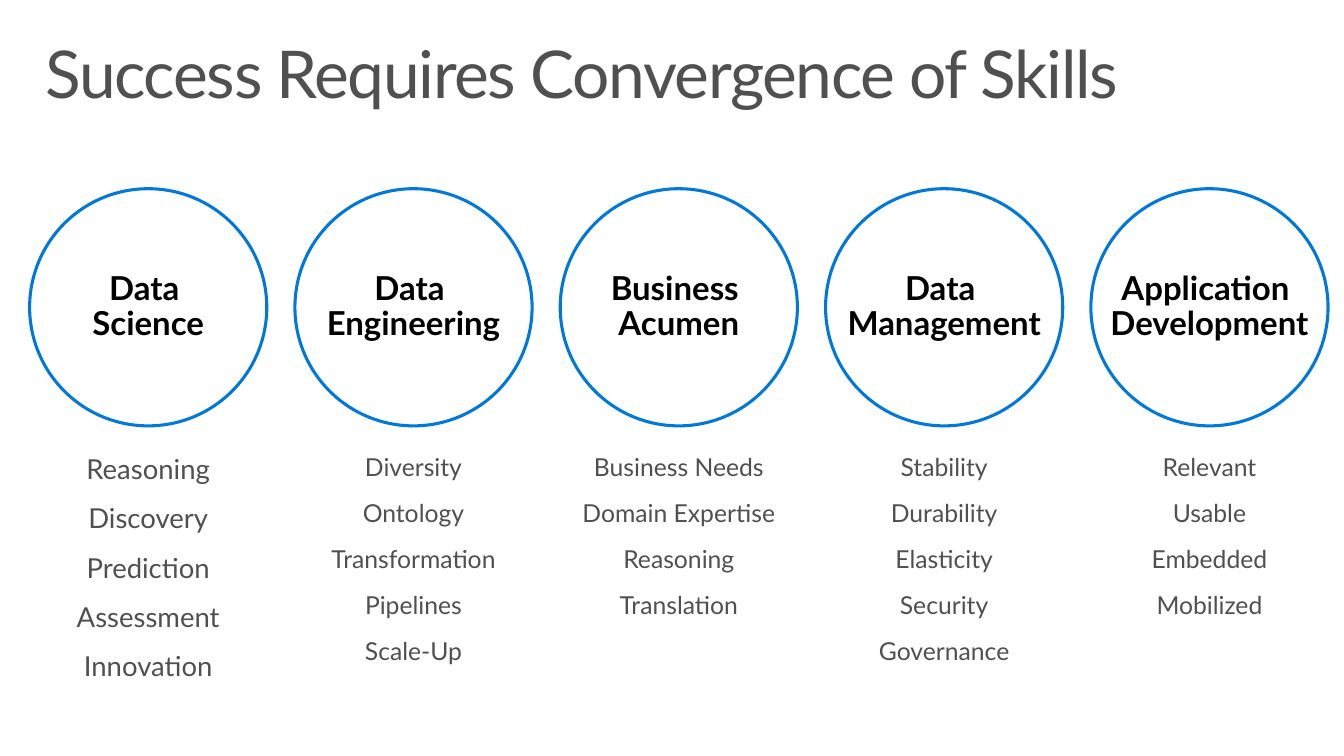
from pptx import Presentation
from pptx import util as u
from pptx.dml.color import RGBColor
from pptx.enum import shapes, text

BLUE = RGBColor(0x00, 0x78, 0xD7)
GRAY = RGBColor(0x50, 0x50, 0x50)
BLACK = RGBColor(0x00, 0x00, 0x00)
WHITE = RGBColor(0xFF, 0xFF, 0xFF)

# Layout in points
LEFT, PITCH, DIAMETER = 21.6, 193.3, 172.8
CIRCLE_TOP, LIST_TOP, LIST_HEIGHT = 137.5, 329.2, 168

# Circle lines, list size, list entries
SKILLS = [
    (["Data ", "Science"], 20,
     ["Reasoning", "Discovery", "Prediction", "Assessment", "Innovation"]),
    (["Data ", "Engineering"], 18,
     ["Diversity", "Ontology", "Transformation", "Pipelines", "Scale-Up"]),
    (["Business ", "Acumen"], 18,
     ["Business Needs", "Domain Expertise", "Reasoning", "Translation"]),
    (["Data ", "Management"], 18,
     ["Stability", "Durability", "Elasticity", "Security", "Governance"]),
    (["Application ", "Development"], 18,
     ["Relevant", "Usable", "Embedded", "Mobilized"]),
]


def apply_formats(target, formats):
    for name, value in formats.items():
        setattr(target, name, value)


class SkillsPage:
    """Holds the text style and the current slide."""

    font = "Lato"

    def __init__(self, deck):
        self.page = deck.slides.add_slide(deck.slide_layouts[5])

    def fill_text(self, box, lines, size, color, bold=False, insets=(0, 0),
                  anchor=text.MSO_ANCHOR.TOP, wrap=True, **para_formats):
        frame = box.text_frame
        side, edge = (u.Pt(inset) for inset in insets)
        apply_formats(frame, dict(
            margin_left=side, margin_right=side, margin_top=edge, margin_bottom=edge,
            auto_size=text.MSO_AUTO_SIZE.NONE, vertical_anchor=anchor, word_wrap=wrap))
        frame.text = "\n".join(lines)
        for para in frame.paragraphs:
            apply_formats(para, para_formats)
            for span in para.runs:
                apply_formats(span.font, dict(name=self.font, size=u.Pt(size), bold=bold))
                span.font.color.rgb = color

    def title(self, words):
        box = self.page.shapes.title
        apply_formats(box, dict(left=u.Pt(LEFT), top=u.Pt(23),
                                width=u.Pt(936), height=u.Pt(72)))
        self.fill_text(box, [words], 48, GRAY, insets=(11.5, 7.2),
                       alignment=text.PP_ALIGN.LEFT, line_spacing=0.9)
        # Tighten the letters by one point
        for span in box.text_frame.paragraphs[0].runs:
            span.font._element.set("spc", "-100")

    def circle(self, left, lines):
        box = self.page.shapes.add_shape(
            shapes.MSO_SHAPE.OVAL, u.Pt(left), u.Pt(CIRCLE_TOP),
            u.Pt(DIAMETER), u.Pt(DIAMETER))
        box.shadow.inherit = False
        box.fill.solid()
        box.fill.fore_color.rgb = WHITE
        box.line.color.rgb = BLUE
        box.line.width = u.Pt(2.25)
        self.fill_text(box, lines, 24, BLACK, bold=True, insets=(14.4, 11.5),
                       anchor=text.MSO_ANCHOR.MIDDLE, wrap=False,
                       alignment=text.PP_ALIGN.CENTER, line_spacing=0.9)

    def skill_list(self, left, entries, size):
        box = self.page.shapes.add_textbox(
            u.Pt(left), u.Pt(LIST_TOP), u.Pt(DIAMETER), u.Pt(LIST_HEIGHT))
        self.fill_text(box, entries, size, GRAY,
                       alignment=text.PP_ALIGN.CENTER, space_after=u.Pt(12))


def main():
    deck = Presentation()
    apply_formats(deck, dict(slide_width=u.Pt(979.2), slide_height=u.Pt(550.8)))
    page = SkillsPage(deck)

    # Heading
    page.title("Success Requires Convergence of Skills")

    # One column per skill
    for column, (lines, size, entries) in enumerate(SKILLS):
        left = LEFT + column * PITCH
        page.circle(left, lines)
        page.skill_list(left, entries, size)

    deck.save("out.pptx")


if __name__ == "__main__":
    main()
